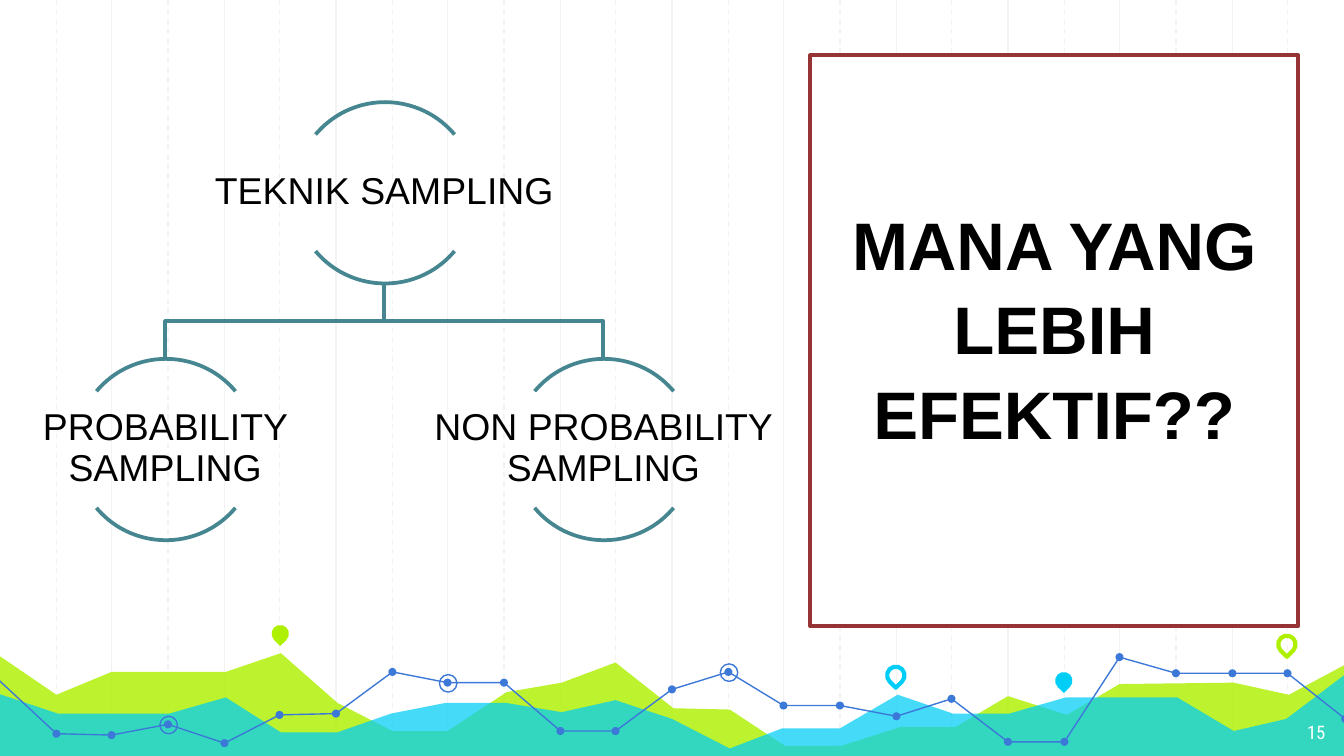
from lxml import etree
from pptx import Presentation
from pptx.dml.color import RGBColor
from pptx.enum import dml, shapes, text
from pptx.oxml.ns import qn
from pptx.util import Inches, Pt

PX = 9144  # 100 px to the inch
COLORS = {
    "white": "FFFFFF", "black": "000000", "grid": "F3F3F3", "lime": "AFF000",
    "cyan": "00CEF6", "blue": "3C78D8", "teal": "468691", "red": "963334",
}
KIND = shapes.MSO_SHAPE

# Points of the landscape, relative to its top left corner
LIME = [(-2, 7), (42, 37), (83, 20), (168, 20), (209, 6), (251, 43), (292, 64),
        (333, 64), (377, 35), (418, 28), (458, 13), (501, 47), (543, 48),
        (584, 75), (626, 75), (670, 61), (711, 61), (750, 38), (794, 52),
        (833, 29), (918, 28), (959, 37), (1002, 14), (1001, 84), (-3, 84)]
CYAN = [(-2, 36), (43, 51), (126, 51), (168, 39), (209, 65), (251, 65),
        (291, 51), (332, 43), (376, 43), (418, 50), (458, 41), (500, 55),
        (543, 77), (582, 62), (625, 62), (668, 37), (709, 51), (751, 51),
        (793, 39), (876, 39), (918, 64), (957, 55), (1002, 21), (1002, 85),
        (-3, 85)]
TREND = [(-1, 26), (42, 66), (83, 67), (125, 59), (167, 73), (208, 52),
         (250, 51), (292, 20), (333, 28), (375, 28), (417, 64), (458, 64),
         (500, 33), (542, 20), (583, 45), (625, 45), (667, 53), (708, 40),
         (750, 72), (792, 72), (833, 9), (875, 21), (917, 21), (958, 21),
         (1001, 55)]
PINS = [(202, -15, "lime", True), (660, 16, "cyan", False),
        (785, 20, "cyan", True), (951, -7, "lime", False)]


def rgb(name):
    return RGBColor.from_string(COLORS[name])


def paint(shape, fill=None, line=None, width=0.75, alpha=None):
    shape.shadow.inherit = False
    if fill:
        shape.fill.solid()
        shape.fill.fore_color.rgb = rgb(fill)
        if alpha:
            clr = shape.fill._xPr.find(".//" + qn("a:srgbClr"))
            etree.SubElement(clr, qn("a:alpha"), val=str(alpha * 1000))
    else:
        shape.fill.background()
    if line:
        shape.line.color.rgb = rgb(line)
        shape.line.width = Pt(width)
    else:
        shape.line.fill.background()
    return shape


def preset(slide, kind, x, y, w, h, **style):
    shape = slide.shapes.add_shape(kind, x * PX, y * PX, w * PX, h * PX)
    return paint(shape, **style)


def outline(slide, x, y, points, closed, **style):
    pen = slide.shapes.build_freeform(*points[0], scale=PX)
    pen.add_line_segments(points[1:], close=closed)
    return paint(pen.convert_to_shape(x * PX, y * PX), **style)


def write(shape, words, size, font, color, align, anchor, inset):
    frame = shape.text_frame
    frame.word_wrap = True
    frame.vertical_anchor = anchor
    frame.margin_left = frame.margin_right = inset * PX
    frame.margin_top = frame.margin_bottom = inset * PX
    par = frame.paragraphs[0]
    par.text = words
    par.alignment = align
    par.font.size = Pt(size)
    par.font.name = font
    par.font.color.rgb = rgb(color)
    return par


def label(slide, x, y, w, h, *args):
    box = slide.shapes.add_textbox(x * PX, y * PX, w * PX, h * PX)
    return write(box, *args)


def grid(slide, x, y, w, h):
    # Solid lines first, then the dashed ones between them
    for i in [*range(2, 24, 2), *range(1, 24, 2)]:
        at = (x + round(w * i / 24)) * PX
        line = slide.shapes.add_connector(
            shapes.MSO_CONNECTOR.STRAIGHT, at, y * PX, at, (y + h) * PX)
        line.line.color.rgb = rgb("grid")
        line.line.width = Pt(0.75)
        if i % 2:
            line.line.dash_style = dml.MSO_LINE.DASH
        etree.SubElement(line._element.spPr, qn("a:effectLst"))


def scenery(slide, x, y):
    # Hills
    outline(slide, x, y, LIME, True, fill="lime", alpha=82)
    outline(slide, x, y, CYAN, True, fill="cyan", alpha=73)
    # Map pins
    for left, top, color, solid in PINS:
        style = {"fill": color} if solid else {"line": color, "width": 2.25}
        pin = preset(slide, KIND.TEAR, x + left, y + top, 13, 13, **style)
        pin.rotation = 135
    # Trend line with its dots and rings
    for part in (TREND[:12], TREND[11:21], TREND[20:]):
        outline(slide, x, y, part, False, line="blue")
    for left, top in TREND[1:]:
        preset(slide, KIND.OVAL, x + left - 3, y + top - 3, 6, 6, fill="blue")
    for i in (3, 8, 13):
        left, top = TREND[i]
        preset(slide, KIND.OVAL, x + left - 6, y + top - 6, 13, 13, line="blue")


def node(slide, x, y, words):
    # Circle open at both sides, 135 px across, centred on x
    for start, end in ((220, 320), (40, 140)):
        arc = preset(slide, KIND.ARC, x - 67, y, 135, 135, line="teal", width=2)
        arc.adjustments[0] = start * 0.6  # degrees to adjust units
        arc.adjustments[1] = end * 0.6
    par = label(slide, x - 135, y + 24, 270, 86, words, 20, "Arial", "black",
                text.PP_ALIGN.CENTER, text.MSO_ANCHOR.MIDDLE, 1)
    par.line_spacing = 0.9


def tree(slide, x, y):
    # x is the middle of the root, y its top
    for side in (163, -163):
        path = [(0, 135), (0, 163), (side, 163), (side, 191)]
        outline(slide, x, y, path, False, line="teal", width=2)
    node(slide, x, y, "TEKNIK SAMPLING")
    node(slide, x - 163, y + 191, "PROBABILITY SAMPLING")
    node(slide, x + 163, y + 191, "NON PROBABILITY SAMPLING")


def question(slide, x, y, w, h):
    box = preset(slide, KIND.RECTANGLE, x, y, w, h,
                 fill="white", line="red", width=2)
    par = write(box, "MANA YANG LEBIH EFEKTIF??", 36, "Arial", "black",
                text.PP_ALIGN.CENTER, text.MSO_ANCHOR.MIDDLE, 5)
    par.font.bold = True
    par.line_spacing = 1.05
    box.text_frame.margin_bottom = 27 * PX  # lifts the words above the middle


def main():
    deck = Presentation()
    deck.slide_width = Inches(10)
    deck.slide_height = Inches(5.625)
    slide = deck.slides.add_slide(deck.slide_layouts[6])
    grid(slide, 0, 0, 1000, 565)
    scenery(slide, 0, 480)
    label(slide, 936, 528, 60, 35, "15", 10, "Roboto Condensed", "white",
          text.PP_ALIGN.RIGHT, text.MSO_ANCHOR.TOP, 10)
    tree(slide, 286, 76)
    question(slide, 603, 41, 363, 425)
    deck.save("out.pptx")


if __name__ == "__main__":
    main()
